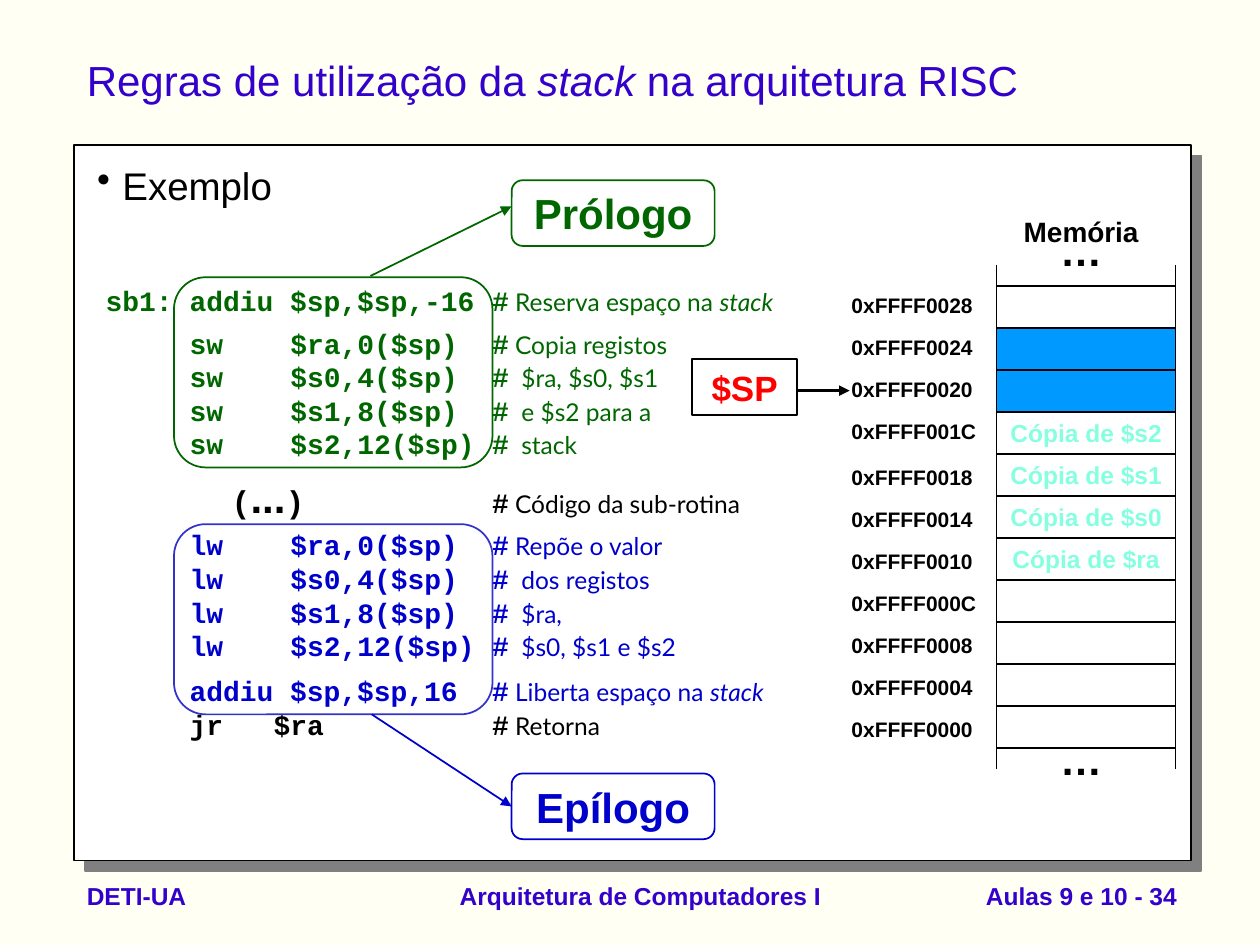
from dataclasses import dataclass

from lxml.etree import SubElement
from pptx import Presentation
from pptx.dml.color import RGBColor
from pptx.enum.shapes import MSO_CONNECTOR, MSO_SHAPE
from pptx.enum.text import MSO_ANCHOR, PP_ALIGN
from pptx.oxml.ns import qn
from pptx.util import Pt


@dataclass(frozen=True)
class Theme:
    background: str = "FFFFF4"
    paper: str = "FFFFFF"
    ink: str = "000000"
    title: str = "3300CC"
    shadow: str = "808080"
    prologue: str = "006600"
    epilogue: str = "0000CC"
    epilogue_frame: str = "3333CC"
    pointer: str = "FF0000"
    used_cell: str = "0099FF"
    saved_copy: str = "85FFE0"
    sans: str = "Arial"
    mono: str = "Courier New"
    comment: str = "Lato"
    heading_size: int = 24
    body_size: int = 22
    pointer_size: int = 20
    code_size: int = 16
    small_size: int = 14
    address_size: int = 12


THEME = Theme()
CODE_CHARACTER = 9.6  # advance of one code character, in points


def color(value):
    return RGBColor.from_string(value)


def set_font(font, size, value, bold=False, name=THEME.sans):
    font.name, font.size, font.bold = name, Pt(size), bold
    font.color.rgb = color(value)


def add_run(paragraph, text, italic=None):
    run = paragraph.add_run()
    run.text = text
    run.font.italic = italic
    return run


def add_text(shapes, box, text, size, value=THEME.ink, bold=False,
             align=PP_ALIGN.LEFT, anchor=MSO_ANCHOR.TOP):
    """Add a text box and return its first paragraph."""
    frame = shapes.add_textbox(*map(Pt, box)).text_frame
    frame.word_wrap = True
    frame.vertical_anchor = anchor
    paragraph = frame.paragraphs[0]
    paragraph.alignment = align
    set_font(paragraph.font, size, value, bold)
    if text:
        add_run(paragraph, text)
    return paragraph


def add_box(shapes, kind, box, line, width=1.0, fill=None):
    shape = shapes.add_shape(kind, *map(Pt, box))
    shape.shadow.inherit = False
    if fill:
        shape.fill.solid()
        shape.fill.fore_color.rgb = color(fill)
    else:
        shape.fill.background()
    shape.line.color.rgb = color(line)
    shape.line.width = Pt(width)
    return shape


def add_label(shape, text, size, value):
    frame = shape.text_frame
    frame.vertical_anchor = MSO_ANCHOR.MIDDLE
    paragraph = frame.paragraphs[0]
    paragraph.alignment = PP_ALIGN.CENTER
    set_font(paragraph.font, size, value, bold=True)
    add_run(paragraph, text)


def add_line(shapes, start, end, value=THEME.ink, width=0.75, arrow=False):
    line = shapes.add_connector(MSO_CONNECTOR.STRAIGHT, *map(Pt, (*start, *end)))
    line.line.color.rgb = color(value)
    line.line.width = Pt(width)
    properties = line._element.spPr
    if arrow:
        SubElement(properties.find(qn("a:ln")), qn("a:tailEnd"), type="triangle")
    SubElement(properties, qn("a:effectLst"))


def add_title(shapes, box):
    paragraph = add_text(shapes, box, "Regras de utilização da ", THEME.heading_size,
                         THEME.title, anchor=MSO_ANCHOR.MIDDLE)
    add_run(paragraph, "stack", italic=True)
    add_run(paragraph, " na arquitetura RISC")


def add_panel(shapes, box):
    """Add the white panel with its hard shadow and its bullet."""
    panel = add_box(shapes, MSO_SHAPE.RECTANGLE, box, THEME.ink, fill=THEME.paper)
    effects = panel._element.spPr.find(qn("a:effectLst"))
    shadow = SubElement(effects, qn("a:outerShdw"), dist=str(Pt(8.5)),
                        dir=str(45 * 60000), algn="tl", rotWithShape="0")
    SubElement(shadow, qn("a:srgbClr"), val=THEME.shadow)
    left, top, width, height = box
    paragraph = add_text(shapes, (left + 6, top + 6, width - 9, 40), "Exemplo",
                         THEME.body_size)
    properties = paragraph._p.get_or_add_pPr()
    properties.set("marL", str(Pt(14.4)))
    properties.set("indent", str(-Pt(14.4)))
    bullet = SubElement(properties, qn("a:buChar"), char="•")
    properties.find(qn("a:defRPr")).addprevious(bullet)


def set_tabs(paragraph, columns):
    """Set tab stops, given as numbers of code characters."""
    properties = paragraph._p.get_or_add_pPr()
    tabs = SubElement(properties, qn("a:tabLst"))
    for column in columns:
        SubElement(tabs, qn("a:tab"), pos=str(Pt(column * CODE_CHARACTER)), algn="l")
    properties.find(qn("a:defRPr")).addprevious(tabs)


def add_code(shapes, box, columns, lines):
    """Add code lines, each as (code, comment, comment in italics, colour)."""
    frame = add_text(shapes, box, "", THEME.code_size).font and shapes[-1].text_frame
    for index, (code, comment, emphasis, value) in enumerate(lines):
        paragraph = frame.add_paragraph() if index else frame.paragraphs[0]
        set_font(paragraph.font, THEME.code_size, value, True, THEME.mono)
        set_tabs(paragraph, columns)
        if code == "(...)":
            add_run(paragraph, "\t")
            for text, size, name in (("(", 18, THEME.mono),
                                     ("...", THEME.heading_size, THEME.sans),
                                     (")", 18, THEME.mono)):
                set_font(add_run(paragraph, text).font, size, value, True, name)
        else:
            add_run(paragraph, code)
        add_run(paragraph, "\t#")
        for text, italic in ((comment, False), (emphasis, True)):
            if text:
                run = add_run(paragraph, text, italic)
                set_font(run.font, THEME.small_size, value, False, THEME.comment)


def add_listing(shapes, box):
    left, top, width, _ = box
    green, blue, black = THEME.prologue, THEME.epilogue, THEME.ink
    blocks = (
        (0, 27, (5, 23), [("sb1:\taddiu $sp,$sp,-16", " Reserva espaço na ", "stack", green)]),
        (24.5, 84, (5, 11, 23), [("\tsw\t$ra,0($sp)", " Copia registos", "", green),
                                 ("\tsw\t$s0,4($sp)", "  $ra, $s0, $s1", "", green),
                                 ("\tsw\t$s1,8($sp)", "  e $s2 para a", "", green),
                                 ("\tsw\t$s2,12($sp)", "  stack", "", green)]),
        (107.3, 36, (7.5, 23), [("(...)", " Código da sub-rotina", "", black)]),
        (139.7, 84, (5, 11, 23), [("\tlw\t$ra,0($sp)", " Repõe o valor", "", blue),
                                  ("\tlw\t$s0,4($sp)", "  dos registos", "", blue),
                                  ("\tlw\t$s1,8($sp)", "  $ra,", "", blue),
                                  ("\tlw\t$s2,12($sp)", "  $s0, $s1 e $s2", "", blue)]),
        (223.2, 46, (5, 10, 23), [("\taddiu $sp,$sp,16", " Liberta espaço na ", "stack", blue),
                                  ("\tjr\t$ra", " Retorna", "", black)]),
    )
    for offset, height, columns, lines in blocks:
        add_code(shapes, (left, top + offset, width, height), columns, lines)


def add_section(shapes, box, label_top, text, value, frame_color, arrow):
    """Frame a part of the listing and point from it to its name."""
    left, _, _, _ = box
    add_box(shapes, MSO_SHAPE.ROUNDED_RECTANGLE, box, frame_color)
    add_line(shapes, *arrow, value, 1, arrow=True)
    label = add_box(shapes, MSO_SHAPE.ROUNDED_RECTANGLE,
                    (left + 193, label_top, 116, 37.5), value)
    add_label(label, text, THEME.heading_size, value)


def add_stack_pointer(shapes, box):
    left, top, width, height = box
    pointer = add_box(shapes, MSO_SHAPE.RECTANGLE, (left, top, 60, height),
                      THEME.ink, 0.75, THEME.paper)
    add_label(pointer, "$SP", THEME.pointer_size, THEME.pointer)
    middle = top + 18
    add_line(shapes, (left + 60, middle), (left + width, middle), width=1.5, arrow=True)


def add_memory(shapes, box):
    """Add the memory column: eleven rows between two half rows."""
    left, top, width, height = box
    row, rows, cell_width = height / 12, 11, 102.2
    right = left + width
    cell_left, first = right - cell_width, top + row / 2

    for index in (1, 2):
        add_box(shapes, MSO_SHAPE.RECTANGLE,
                (cell_left, first + index * row, cell_width, row),
                THEME.ink, 0.75, THEME.used_cell)
    for index in range(rows):
        shift = 2.5 if index > 3 else 0
        add_text(shapes, (left, first + index * row + shift, 88, 21.6),
                 f"0xFFFF{4 * (rows - 1 - index):04X}", THEME.address_size, bold=True)
    for x in (cell_left, right):
        add_line(shapes, (x, top), (x, top + height))
    for index in range(rows + 1):
        y = first + index * row
        add_line(shapes, (cell_left, y), (right, y))
    for index, register in enumerate(("$s2", "$s1", "$s0", "$ra"), start=3):
        add_text(shapes, (cell_left, first + index * row, cell_width, row),
                 f"Cópia de {register}", THEME.small_size, THEME.saved_copy, True,
                 PP_ALIGN.CENTER)

    heading = add_text(shapes, (right - 108, top - 23.8, 108, 31), "Memória",
                       THEME.code_size, bold=True, align=PP_ALIGN.CENTER)
    heading.line_spacing = 0.5
    heading.add_line_break()
    add_run(heading, "…").font.size = Pt(THEME.heading_size)
    add_text(shapes, (right - 108, top + height - 23.8, 108, 36), "…",
             THEME.heading_size, bold=True, align=PP_ALIGN.CENTER)


def add_footer(shapes, box):
    left, top, width, height = box
    parts = (("DETI-UA", 0, 170, PP_ALIGN.LEFT),
             ("Arquitetura de Computadores I", 209.5, 228, PP_ALIGN.CENTER),
             ("Aulas 9 e 10 - 34", width - 168, 168, PP_ALIGN.RIGHT))
    for text, offset, part_width, align in parts:
        add_text(shapes, (left + offset, top, part_width, height), text,
                 THEME.small_size, THEME.title, True, align, MSO_ANCHOR.MIDDLE)


def main():
    presentation = Presentation()
    presentation.slide_width, presentation.slide_height = Pt(720), Pt(540)
    slide = presentation.slides.add_slide(presentation.slide_layouts[6])
    slide.background.fill.solid()
    slide.background.fill.fore_color.rgb = color(THEME.background)
    shapes = slide.shapes

    add_panel(shapes, (42.5, 82.8, 638, 409))
    add_title(shapes, (42.5, 20.2, 638, 50.4))
    add_listing(shapes, (53.3, 158.4, 414, 270))
    add_section(shapes, (99.4, 158.4, 182, 108.7), 103, "Prólogo", THEME.prologue,
                THEME.prologue, ((211.7, 157.7), (292.3, 118)))
    add_section(shapes, (99.4, 299.5, 182, 108.7), 442, "Epílogo", THEME.epilogue,
                THEME.epilogue_frame, ((212.4, 408.2), (292.3, 460.8)))
    add_stack_pointer(shapes, (395.5, 205.2, 90, 32))
    add_memory(shapes, (479.5, 151.4, 192.3, 288))
    add_footer(shapes, (42.5, 493.2, 637.2, 37.4))
    presentation.save("out.pptx")


if __name__ == "__main__":
    main()
